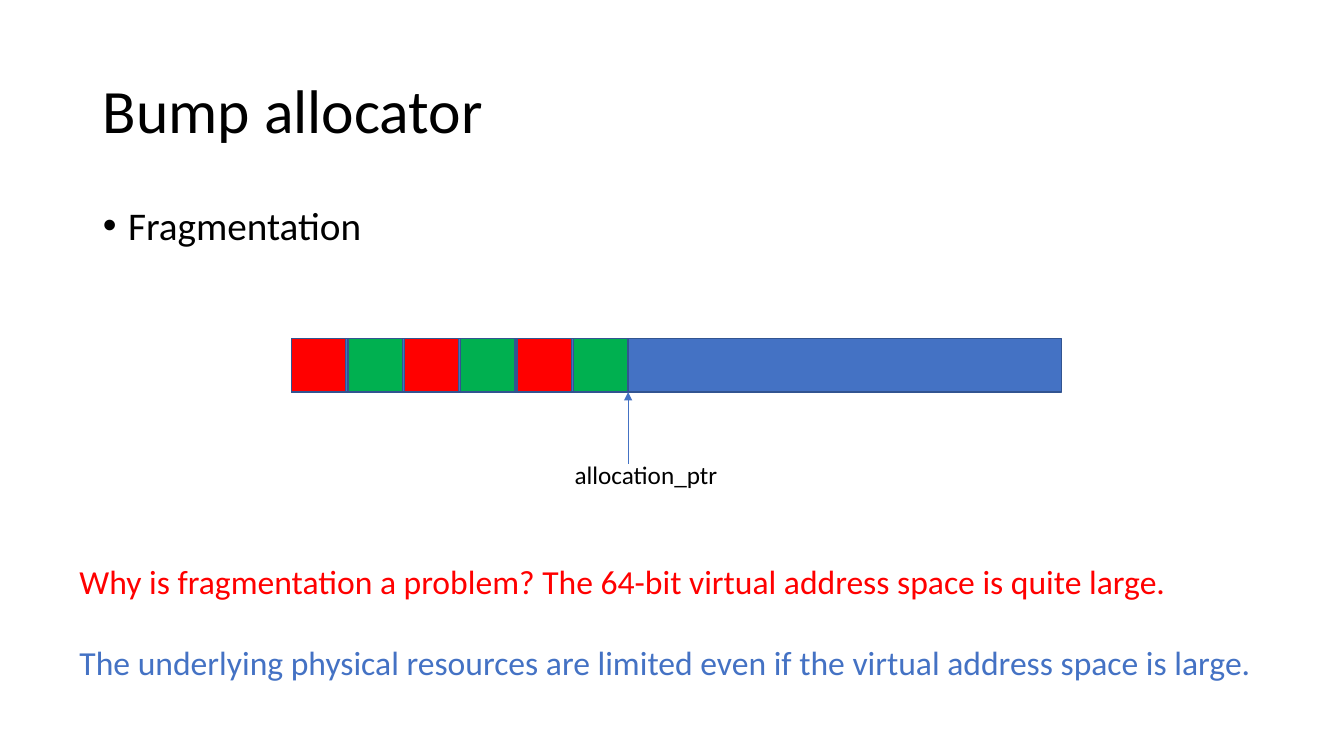
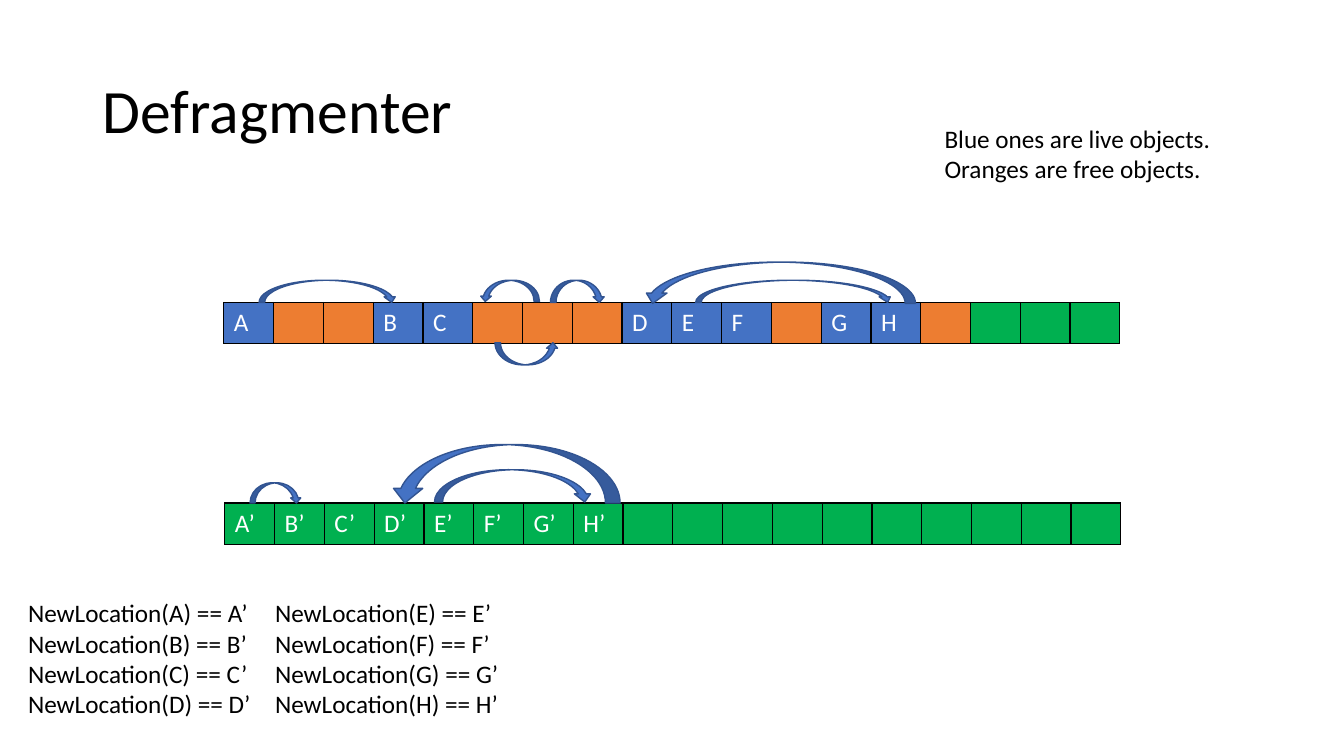
import pptx
import pptx.chart.data
import pptx.dml.color
import pptx.enum.shapes
import pptx.enum.text
import pptx.oxml.ns
import pptx.util
from lxml import etree
from pptx.util import Inches

RGBColor = pptx.dml.color.RGBColor
MSO_SHAPE = pptx.enum.shapes.MSO_SHAPE
qn = pptx.oxml.ns.qn

BLACK = RGBColor(0x00, 0x00, 0x00)
WHITE = RGBColor(0xFF, 0xFF, 0xFF)
RED = RGBColor(0xFF, 0x00, 0x00)
GREEN = RGBColor(0x00, 0xB0, 0x50)
BLUE = RGBColor(0x44, 0x72, 0xC4)
ORANGE = RGBColor(0xED, 0x7D, 0x31)
OUTLINE = RGBColor(0x32, 0x54, 0x91)


def write_text(frame, text, size=18, color=BLACK, line_spacing=1.0, space_before=0, bullet=None, tab=None):
    paragraph = frame.paragraphs[0] if not frame.text else frame.add_paragraph()
    paragraph.alignment = pptx.enum.text.PP_ALIGN.LEFT
    paragraph.line_spacing = line_spacing
    paragraph.space_before = pptx.util.Pt(space_before)
    properties = paragraph._p.get_or_add_pPr()
    if bullet:
        properties.set("marL", str(Inches(0.25)))
        properties.set("indent", str(-Inches(0.25)))
        etree.SubElement(properties, qn("a:buFont"), typeface="Arial")
        etree.SubElement(properties, qn("a:buChar"), char=bullet)
    if tab:
        tabs = etree.SubElement(properties, qn("a:tabLst"))
        etree.SubElement(tabs, qn("a:tab"), pos=str(Inches(tab)), algn="l")
    run = paragraph.add_run()
    run.text = text
    run.font.name = "Calibri"
    run.font.size = pptx.util.Pt(size)
    run.font.color.rgb = color


def draw_shape(slide, kind, left, top, width, height, fill=BLUE):
    shape = slide.shapes.add_shape(kind, Inches(left), Inches(top), Inches(width), Inches(height))
    shape.shadow.inherit = False
    shape.fill.solid()
    shape.fill.fore_color.rgb = fill
    shape.line.color.rgb = OUTLINE
    shape.line.width = pptx.util.Pt(1)
    return shape


presentation = pptx.Presentation()
presentation.slide_width = Inches(13.33)
presentation.slide_height = Inches(7.5)

slides = []
for title_text, layout_index in (("Bump allocator", 1), ("Defragmenter", 5)):
    slide = presentation.slides.add_slide(presentation.slide_layouts[layout_index])
    title = slide.shapes.title
    title.left, title.top, title.width, title.height = Inches(0.92), Inches(0.4), Inches(11.5), Inches(1.45)
    title.text_frame.vertical_anchor = pptx.enum.text.MSO_ANCHOR.MIDDLE
    write_text(title.text_frame, title_text, size=44, line_spacing=0.9)
    slides.append(slide)
bump_slide, defragmenter_slide = slides

body = bump_slide.placeholders[1]
body.left, body.top, body.width, body.height = Inches(0.92), Inches(2), Inches(11.5), Inches(4.76)
write_text(body.text_frame, "Fragmentation", size=28, line_spacing=0.9, bullet="•")

memory_left, memory_top, memory_height = 2.89, 3.36, 0.53
draw_shape(bump_slide, MSO_SHAPE.RECTANGLE, memory_left, memory_top, 7.64, memory_height)
for index in range(6):
    draw_shape(bump_slide, MSO_SHAPE.RECTANGLE, memory_left + index * 0.56, memory_top, 0.54, memory_height,
               fill=(RED, GREEN)[index % 2])

pointer = bump_slide.shapes.add_connector(pptx.enum.shapes.MSO_CONNECTOR.STRAIGHT,
                                          Inches(6.23), Inches(4.6), Inches(6.23), Inches(3.89))
pointer.line.color.rgb = BLUE
pointer.line.width = pptx.util.Pt(0.5)
etree.SubElement(pointer.line._get_or_add_ln(), qn("a:tailEnd"), type="triangle")
etree.SubElement(pointer._element.spPr, qn("a:effectLst"))

text_boxes = [
    (bump_slide, (5.6, 4.51, 2.09, 0.4), [("allocation_ptr", {})]),
    (bump_slide, (0.69, 5.52, 12.14, 1.31), [
        ("Why is fragmentation a problem? The 64-bit virtual address space is quite large.",
         {"size": 24, "color": RED}),
        ("The underlying physical resources are limited even if the virtual address space is large.",
         {"size": 24, "color": BLUE, "space_before": 29}),
    ]),
    (defragmenter_slide, (9.27, 1.17, 3.4, 0.71), [
        ("Blue ones are live objects.", {}),
        ("Oranges are free objects.", {}),
    ]),
    (defragmenter_slide, (0.18, 5.88, 5.82, 1.31), [
        (f"NewLocation({first}) == {first}’\tNewLocation({second}) == {second}’", {"tab": 2.45})
        for first, second in zip("ABCD", "EFGH")
    ]),
]
for slide, (left, top, width, height), lines in text_boxes:
    text_box = slide.shapes.add_textbox(Inches(left), Inches(top), Inches(width), Inches(height))
    text_box.text_frame.word_wrap = True
    for text, text_format in lines:
        write_text(text_box.text_frame, text, **text_format)

FREE, UNUSED = "-", "+"
old_heap = list("A--BC---DEF-GH-+++")
new_heap = [letter + "’" for letter in "ABCDEFGH"] + [UNUSED] * 10
for left, top, heap, live_color in ((2.22, 3, old_heap, BLUE), (2.23, 4.99, new_heap, GREEN)):
    table = defragmenter_slide.shapes.add_table(1, len(heap), Inches(left), Inches(top),
                                                Inches(8.89), Inches(0.41)).table
    table.first_row = False
    table.horz_banding = False
    for column, label in enumerate(heap):
        table.columns[column].width = Inches(8.89 / len(heap))
        cell = table.cell(0, column)
        properties = cell._tc.get_or_add_tcPr()
        for side in ("a:lnL", "a:lnR", "a:lnT", "a:lnB"):
            border = etree.SubElement(properties, qn(side), w=str(pptx.util.Pt(1)))
            border_fill = etree.SubElement(border, qn("a:solidFill"))
            etree.SubElement(border_fill, qn("a:srgbClr"), val=str(BLACK))
        cell.fill.solid()
        cell.fill.fore_color.rgb = {FREE: ORANGE, UNUSED: GREEN}.get(label, live_color)
        if label not in (FREE, UNUSED):
            write_text(cell.text_frame, label, color=WHITE)

reference_arrows = [
    (MSO_SHAPE.CURVED_DOWN_ARROW, 0, 2.57, 2.78, 1.37, 0.22),
    (MSO_SHAPE.CURVED_DOWN_ARROW, 0, 6.9, 2.78, 1.96, 0.22),
    (MSO_SHAPE.CURVED_UP_ARROW, 180, 6.37, 2.6, 2.71, 0.41),
    (MSO_SHAPE.CURVED_UP_ARROW, 0, 4.91, 3.4, 0.63, 0.22),
    (MSO_SHAPE.CURVED_DOWN_ARROW, 0, 5.46, 2.78, 0.54, 0.22),
    (MSO_SHAPE.CURVED_UP_ARROW, 180, 4.76, 2.78, 0.59, 0.21),
    (MSO_SHAPE.CURVED_DOWN_ARROW, 0, 2.48, 4.79, 0.51, 0.2),
    (MSO_SHAPE.CURVED_DOWN_ARROW, 0, 4.31, 4.66, 1.57, 0.32),
    (MSO_SHAPE.CURVED_UP_ARROW, 180, 3.87, 4.41, 2.28, 0.58),
]
for kind, rotation, left, top, width, height in reference_arrows:
    arrow = draw_shape(defragmenter_slide, kind, left, top, width, height)
    arrow.rotation = rotation

presentation.save("out.pptx")
